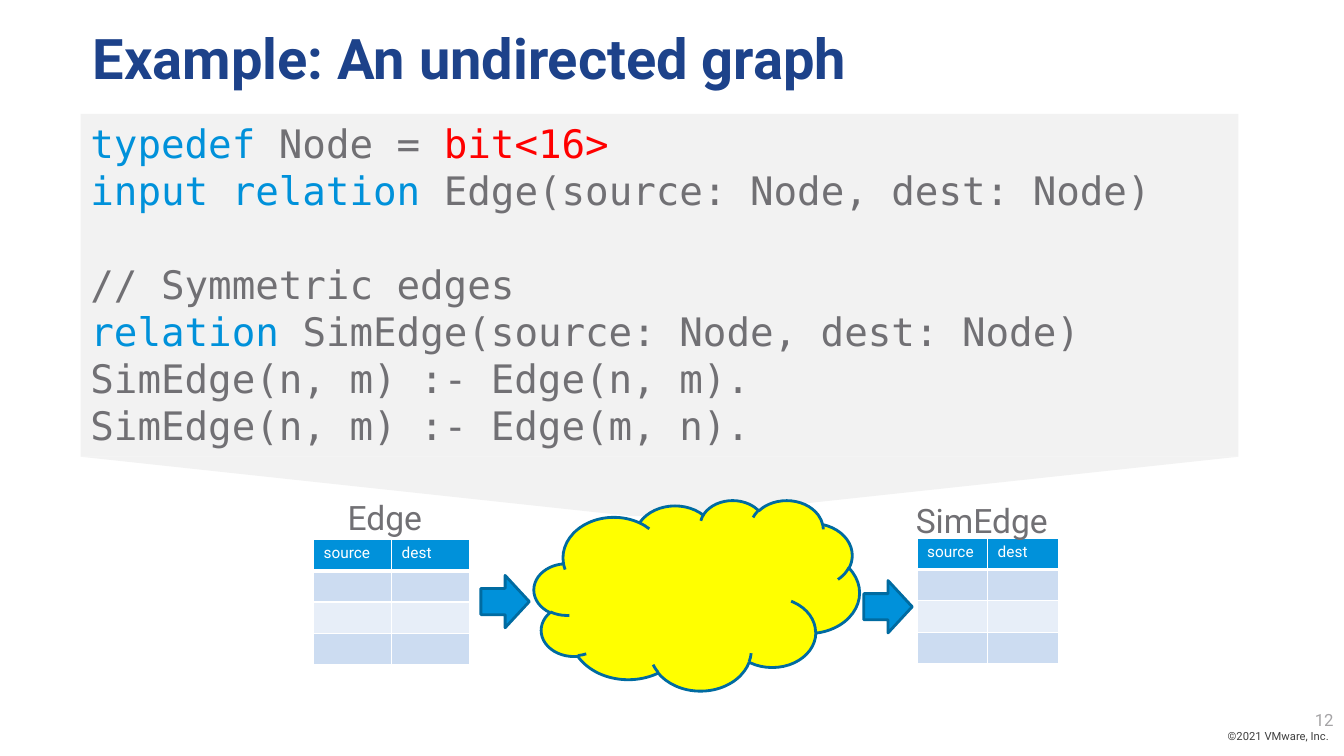
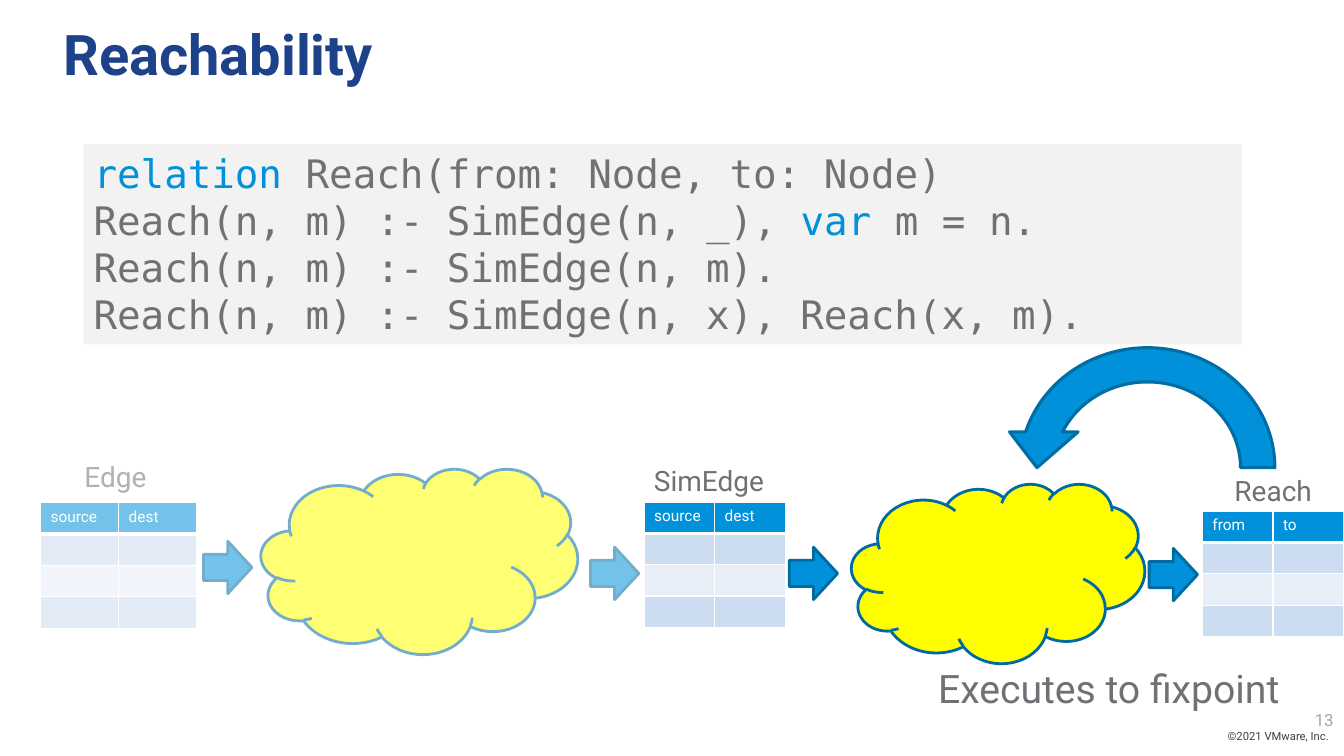
from lxml import etree
from pptx import Presentation
from pptx.dml.color import RGBColor
from pptx.enum.shapes import MSO_SHAPE
from pptx.enum.text import MSO_ANCHOR, PP_ALIGN
from pptx.oxml.ns import qn
from pptx.util import Cm, Pt

RECTANGLE = MSO_SHAPE.RECTANGLE
TRAPEZOID = MSO_SHAPE.TRAPEZOID
CLOUD = MSO_SHAPE.CLOUD
RIGHT_ARROW = MSO_SHAPE.RIGHT_ARROW
CIRCULAR_ARROW = MSO_SHAPE.CIRCULAR_ARROW
TOP, MIDDLE, BOTTOM = MSO_ANCHOR.TOP, MSO_ANCHOR.MIDDLE, MSO_ANCHOR.BOTTOM
LEFT, RIGHT = PP_ALIGN.LEFT, PP_ALIGN.RIGHT

SANS, MONO = "Roboto", "DejaVu Sans Mono"
WHITE, PANEL, YELLOW = "FFFFFF", "F2F2F2", "FFFF00"
NAVY, BLUE, OUTLINE, LOOP_OUTLINE = "1D428A", "0091DA", "006BA1", "006DA3"
GRAY, RED, PAGE_GRAY, FOOTER_GRAY = "717074", "FF0000", "A5A4A6", "3F3F3F"
BANDS = ("CCDCF1", "E7EEF8", "CCDCF1")

COPYRIGHT = "©2021 VMware, Inc."
TITLE_HEIGHT = 1.78
PANEL_WIDTH = 29.18
ROW_HEIGHT = 0.79
ARROW_SIZE = (1.22, 1.32)
BLANK_LINE = 33.5

SLIDES = [
    {
        "title": ("Example: An undirected graph", 2.34, 0.53),
        "page": "12",
        "panel": (2.03, 2.87, 8.64),
        "funnel": (2.03, 11.51, PANEL_WIDTH, 1.5),
        "code": [
            [("typedef", BLUE), (" Node = ", GRAY), ("bit<16>", RED)],
            [("input relation ", BLUE), ("Edge(source: Node, dest: Node)", GRAY)],
            [],
            [("// Symmetric edges", GRAY)],
            [("relation ", BLUE), ("SimEdge(source: Node, dest: Node)", GRAY)],
            [("SimEdge(n, m) :- Edge(n, m).", GRAY)],
            [("SimEdge(n, m) :- Edge(m, n).", GRAY)],
        ],
        "tables": [
            (("source", "dest"), 7.9, 13.59, 3.94),
            (("source", "dest"), 23.11, 13.56, 3.56),
        ],
        "labels": [
            ("Edge", 24, (8.51, 12.4, 2.64, 1.27)),
            ("SimEdge", 24, (22.83, 12.47, 4.17, 1.27)),
        ],
        "clouds": [(13.46, 12.6, 8.2, 4.8)],
        "arrows": [(12.12, 14.5), (21.77, 14.63)],
    },
    {
        "title": ("Reachability", 1.6, 0.43),
        "page": "13",
        "panel": (2.11, 3.63, 5.05),
        "code": [
            [("relation", BLUE), (" Reach(from: Node, to: Node)", GRAY)],
            [("Reach(n, m) :- SimEdge(n, _), ", GRAY), ("var", BLUE), (" m = n.", GRAY)],
            [("Reach(n, m) :- SimEdge(n, m).", GRAY)],
            [("Reach(n, m) :- SimEdge(n, x), Reach(x, m).", GRAY)],
        ],
        "tables": [
            (("source", "dest"), 1.02, 12.67, 3.94),
            (("source", "dest"), 16.23, 12.65, 3.56),
            (("from", "to"), 30.3, 12.88, 3.56),
        ],
        "labels": [
            ("Edge", 20, (1.88, 11.46, 2.29, 1.12)),
            ("SimEdge", 20, (16.23, 11.56, 3.56, 1.12)),
            ("Reach", 20, (30.86, 11.81, 2.62, 1.12)),
            ("Executes to fixpoint", 28, (23.39, 16.61, 9.8, 1.45)),
        ],
        "clouds": [(6.58, 11.81, 7.98, 4.67), (21.46, 12.19, 7.39, 4.52)],
        "arrows": [(5.13, 13.64), (14.88, 13.79), (19.89, 13.79), (28.96, 13.82)],
        "loop": (25.27, 8.33, 7.29, 6.91),
        "veil": (0.15, 10.36, 16.08, 7.19),
    },
]


def rgb(color):
    return RGBColor.from_string(color)


def cm(box):
    return [Cm(length) for length in box]


def add_run(paragraph, text, size, color, font=SANS, bold=False):
    run = paragraph.add_run()
    run.text = text
    run.font.size = Pt(size)
    run.font.name = font
    run.font.bold = bold
    run.font.color.rgb = rgb(color)


def add_text(slide, text, box, size, color, anchor=TOP, align=LEFT,
             bold=False, inset=True, spacing=1.0):
    frame = slide.shapes.add_textbox(*cm(box)).text_frame
    frame.word_wrap = True
    frame.vertical_anchor = anchor
    if not inset:
        frame.margin_left = frame.margin_right = 0
        frame.margin_top = frame.margin_bottom = 0
    paragraph = frame.paragraphs[0]
    paragraph.alignment = align
    paragraph.line_spacing = spacing
    add_run(paragraph, text, size, color, bold=bold)


def add_figure(slide, preset, box, fill, line=None, width=2):
    figure = slide.shapes.add_shape(preset, *cm(box))
    figure.shadow.inherit = False
    figure.fill.solid()
    figure.fill.fore_color.rgb = rgb(fill)
    if line:
        figure.line.color.rgb = rgb(line)
        figure.line.width = Pt(width)
    else:
        figure.line.fill.background()
    return figure


def flip(figure, axis):
    figure._element.spPr.find(qn("a:xfrm")).set(axis, "1")


def add_code(slide, panel, lines):
    left, top, height = panel
    frame = add_figure(slide, RECTANGLE, (left, top, PANEL_WIDTH, height), PANEL).text_frame
    frame.word_wrap = True
    frame.vertical_anchor = TOP
    paragraph = frame.paragraphs[0]
    gap = 0
    for index, line in enumerate(lines):
        if not line:
            gap = BLANK_LINE
            continue
        if index:
            paragraph = frame.add_paragraph()
        paragraph.alignment = LEFT
        if gap:
            paragraph.space_before = Pt(gap)
            gap = 0
        for text, color in line:
            add_run(paragraph, text, 28, color, MONO)


def style_cell(cell, fill, bottom):
    properties = cell._tc.get_or_add_tcPr()
    for side, width in (("L", 1), ("R", 1), ("T", 1), ("B", bottom)):
        border = etree.SubElement(properties, qn("a:ln" + side), w=str(Pt(width)))
        paint = etree.SubElement(border, qn("a:solidFill"))
        etree.SubElement(paint, qn("a:srgbClr"), val=WHITE)
    cell.fill.solid()
    cell.fill.fore_color.rgb = rgb(fill)


def add_relation(slide, headings, left, top, width):
    fills = (BLUE, *BANDS)
    box = (left, top, width, ROW_HEIGHT * len(fills))
    table = slide.shapes.add_table(len(fills), len(headings), *cm(box)).table
    table.horz_banding = False
    for column in table.columns:
        column.width = Cm(width / len(headings))
    for row, fill in enumerate(fills):
        table.rows[row].height = Cm(ROW_HEIGHT)
        for column, heading in enumerate(headings):
            cell = table.cell(row, column)
            style_cell(cell, fill, 1 if row else 3)
            paragraph = cell.text_frame.paragraphs[0]
            if row:
                etree.SubElement(paragraph._p, qn("a:endParaRPr"), sz="1100")
            else:
                add_run(paragraph, heading, 11, WHITE)


def add_frame(slide, title, page):
    text, left, top = title
    add_text(slide, COPYRIGHT, (30.94, 18.29, 2.69, 0.56), 8, FOOTER_GRAY,
             MIDDLE, inset=False, spacing=0.9)
    add_text(slide, text, (left, top, 29.21, TITLE_HEIGHT), 40, NAVY,
             BOTTOM, bold=True, inset=False, spacing=0.9)
    add_text(slide, page, (32.46, 17.63, 1.4, 1.02), 12, PAGE_GRAY, MIDDLE, RIGHT)


def build_slide(prs, content):
    slide = prs.slides.add_slide(prs.slide_layouts[6])
    add_frame(slide, content["title"], content["page"])
    if "funnel" in content:
        funnel = add_figure(slide, TRAPEZOID, content["funnel"], PANEL)
        funnel.adjustments[0] = 9.281
        flip(funnel, "flipV")
    add_code(slide, content["panel"], content["code"])
    for relation in content["tables"]:
        add_relation(slide, *relation)
    for text, size, box in content["labels"]:
        add_text(slide, text, box, size, GRAY)
    for box in content["clouds"]:
        add_figure(slide, CLOUD, box, YELLOW, OUTLINE)
    for corner in content["arrows"]:
        add_figure(slide, RIGHT_ARROW, corner + ARROW_SIZE, BLUE, OUTLINE)
    if "loop" in content:
        loop = add_figure(slide, CIRCULAR_ARROW, content["loop"], BLUE, LOOP_OUTLINE, 2.25)
        flip(loop, "flipH")
    if "veil" in content:
        veil = add_figure(slide, RECTANGLE, content["veil"], WHITE)
        color = veil._element.spPr.find(qn("a:solidFill")).find(qn("a:srgbClr"))
        etree.SubElement(color, qn("a:alpha"), val="45000")


def main():
    prs = Presentation()
    prs.slide_width, prs.slide_height = Cm(33.87), Cm(19.05)
    for content in SLIDES:
        build_slide(prs, content)
    prs.save("out.pptx")


if __name__ == "__main__":
    main()
